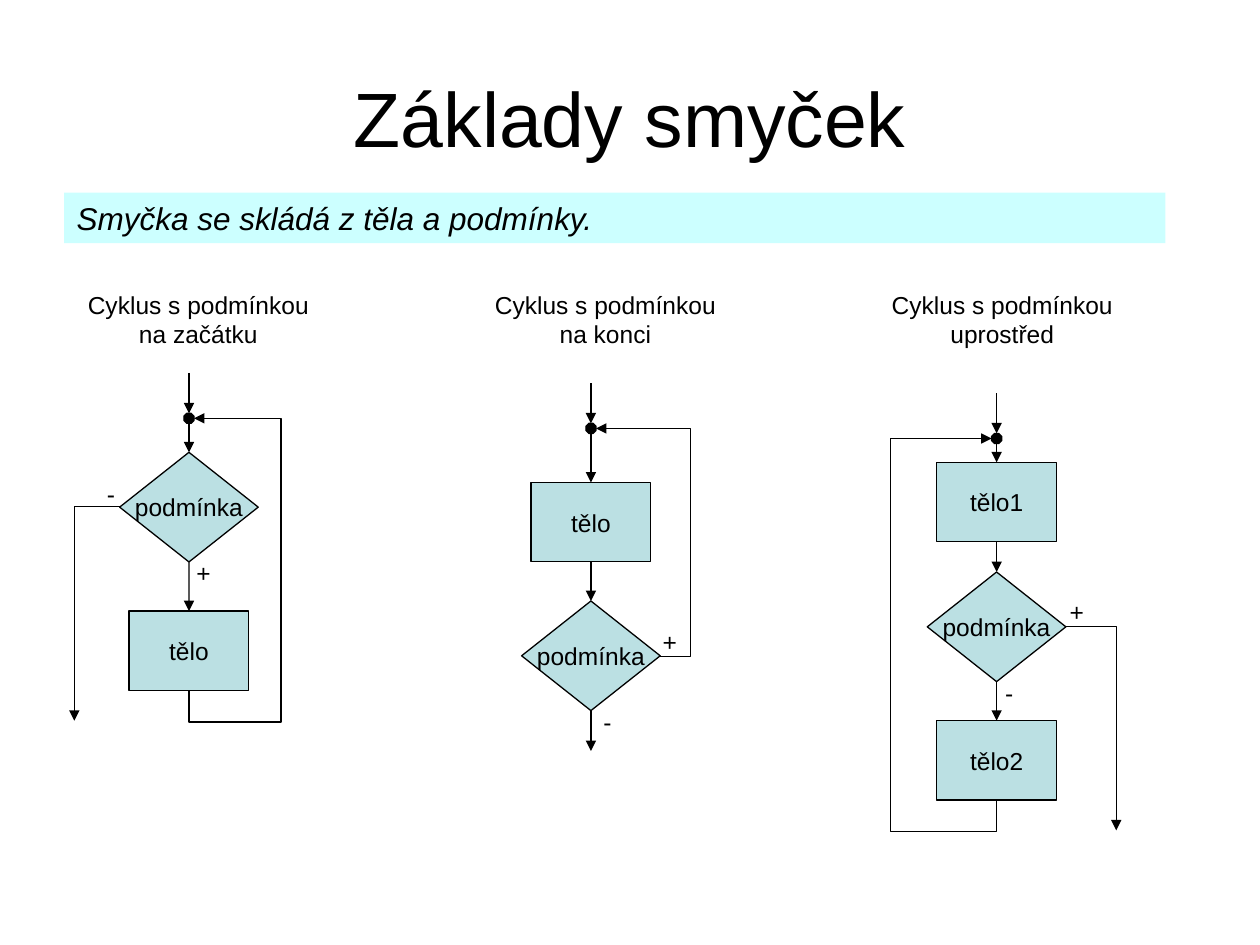
from lxml import etree
from pptx import Presentation
from pptx.dml.color import RGBColor
from pptx.enum.shapes import MSO_CONNECTOR, MSO_SHAPE
from pptx.enum.text import MSO_ANCHOR, PP_ALIGN
from pptx.oxml.ns import qn
from pptx.util import Inches, Pt

RECT, DIAMOND, OCTAGON = MSO_SHAPE.RECTANGLE, MSO_SHAPE.DIAMOND, MSO_SHAPE.OCTAGON
STRAIGHT = MSO_CONNECTOR.STRAIGHT
TOP, MIDDLE = MSO_ANCHOR.TOP, MSO_ANCHOR.MIDDLE
LEFT, CENTER = PP_ALIGN.LEFT, PP_ALIGN.CENTER
COLORS = {"ink": "000000", "banner": "CCFFFF", "node": "BBE0E3"}
SITE_TOP, SITE_BOTTOM = 0, 2
BODY_W, BODY_H = 0.95, 0.63
TEST_W, TEST_H = 1.1, 0.87
DOT = 0.08


def color(name):
    return RGBColor.from_string(COLORS[name])


def set_text(sp, text, size=14, align=CENTER, anchor=MIDDLE, wrap=False, italic=False):
    tf = sp.text_frame
    tf.word_wrap = wrap
    tf.vertical_anchor = anchor
    p = tf.paragraphs[0]
    p.text = text
    p.alignment = align
    p.font.name = "Arial"
    p.font.size = Pt(size)
    p.font.italic = italic
    p.font.color.rgb = color("ink")


def add_text(s, box, text, **style):
    sp = s.shapes.add_textbox(*map(Inches, box))
    set_text(sp, text, **style)


def add_box(s, kind, box, fill, outlined=True):
    sp = s.shapes.add_shape(kind, *map(Inches, box))
    sp.shadow.inherit = False
    sp.fill.solid()
    sp.fill.fore_color.rgb = color(fill)
    if outlined:
        sp.line.color.rgb = color("ink")
        sp.line.width = Pt(0.75)
    else:
        sp.line.fill.background()
    return sp


def add_node(s, kind, cx, top, w, h, text):
    sp = add_box(s, kind, (cx - w / 2, top, w, h), "node")
    set_text(sp, text)
    return sp


def add_body(s, cx, top, text):
    return add_node(s, RECT, cx, top, BODY_W, BODY_H, text)


def add_test(s, cx, top):
    return add_node(s, DIAMOND, cx, top, TEST_W, TEST_H, "podmínka")


def style_arrow(sp):
    sp.line.color.rgb = color("ink")
    sp.line.width = Pt(0.75)
    etree.SubElement(sp.line._get_or_add_ln(), qn("a:tailEnd"), type="triangle")


def add_arrow(s, cx, y1, y2, begin=None, end=None):
    sp = s.shapes.add_connector(STRAIGHT, *map(Inches, (cx, y1, cx, y2)))
    if begin is not None:
        sp.begin_connect(begin, SITE_BOTTOM)
    if end is not None:
        sp.end_connect(end, SITE_TOP)
    style_arrow(sp)
    etree.SubElement(sp._element.spPr, qn("a:effectLst"))


def add_bent_arrow(s, *points):
    start, *rest = [(Inches(x), Inches(y)) for x, y in points]
    builder = s.shapes.build_freeform(*start)
    builder.add_line_segments(rest, close=False)
    sp = builder.convert_to_shape()
    sp.shadow.inherit = False
    sp.fill.background()
    style_arrow(sp)


def add_entry(s, cx, y, first_node, first_top):
    add_box(s, OCTAGON, (cx - DOT / 2, y - DOT / 2, DOT, DOT), "ink")
    add_arrow(s, cx, y - 0.36, y - DOT / 2)
    add_arrow(s, cx, y + DOT / 2, first_top, end=first_node)


def add_sign(s, x, y, text):
    add_text(s, (x, y, 0.31 if text == "+" else 0.26, 0.34), text, align=LEFT, anchor=TOP)


def add_caption(s, x, text):
    add_text(s, (x, 2.25, 2.13, 0.57), text, anchor=TOP, wrap=True)


def draw_test_first(s, cx=1.5, entry=3.32):
    add_caption(s, 0.51, "Cyklus s podmínkou na začátku")
    test = add_test(s, cx, 3.59)
    body = add_body(s, cx, 4.85, "tělo")
    add_entry(s, cx, entry, test, 3.59)
    add_arrow(s, cx, 4.46, 4.85, test, body)
    add_bent_arrow(s, (cx - TEST_W / 2, 4.02), (0.59, 4.02), (0.59, 5.72))
    add_bent_arrow(s, (cx, 5.48), (cx, 5.73), (2.23, 5.73), (2.23, entry),
                   (cx + DOT / 2, entry))
    add_sign(s, 1.46, 4.38, "+")
    add_sign(s, 0.75, 3.75, "-")


def draw_test_last(s, cx=4.69, entry=3.4):
    add_caption(s, 3.74, "Cyklus s podmínkou na konci")
    body = add_body(s, cx, 3.83, "tělo")
    test = add_test(s, cx, 4.77)
    add_entry(s, cx, entry, body, 3.83)
    add_arrow(s, cx, 4.46, 4.77, body, test)
    add_arrow(s, cx, 5.64, 5.96, test)
    add_bent_arrow(s, (cx + TEST_W / 2, 5.21), (5.48, 5.21), (5.48, entry),
                   (cx + DOT / 2, entry))
    add_sign(s, 5.16, 4.93, "+")
    add_sign(s, 4.69, 5.56, "-")


def draw_test_middle(s, cx=7.91, entry=3.48):
    add_caption(s, 6.89, "Cyklus s podmínkou uprostřed")
    body1 = add_body(s, cx, 3.67, "tělo1")
    test = add_test(s, cx, 4.54)
    body2 = add_body(s, cx, 5.72, "tělo2")
    add_entry(s, cx, entry, body1, 3.67)
    add_arrow(s, cx, 4.3, 4.54, body1, test)
    add_arrow(s, cx, 5.41, 5.72, test, body2)
    add_bent_arrow(s, (cx + TEST_W / 2, 4.97), (8.86, 4.97), (8.86, 6.59))
    add_bent_arrow(s, (cx, 6.35), (cx, 6.6), (7.07, 6.6), (7.07, entry),
                   (cx - DOT / 2, entry))
    add_sign(s, 8.39, 4.69, "+")
    add_sign(s, 7.88, 5.33, "-")


def main():
    prs = Presentation()
    prs.slide_width, prs.slide_height = Inches(10), Inches(7.5)
    s = prs.slides.add_slide(prs.slide_layouts[6])
    add_text(s, (0.5, 0.3, 9, 1.25), "Základy smyček", size=44, wrap=True)
    banner = add_box(s, RECT, (0.51, 1.53, 8.74, 0.4), "banner", outlined=False)
    set_text(banner, "Smyčka se skládá z těla a podmínky.", size=18, align=LEFT,
             anchor=TOP, wrap=True, italic=True)
    draw_test_first(s)
    draw_test_last(s)
    draw_test_middle(s)
    prs.save("out.pptx")


if __name__ == "__main__":
    main()
